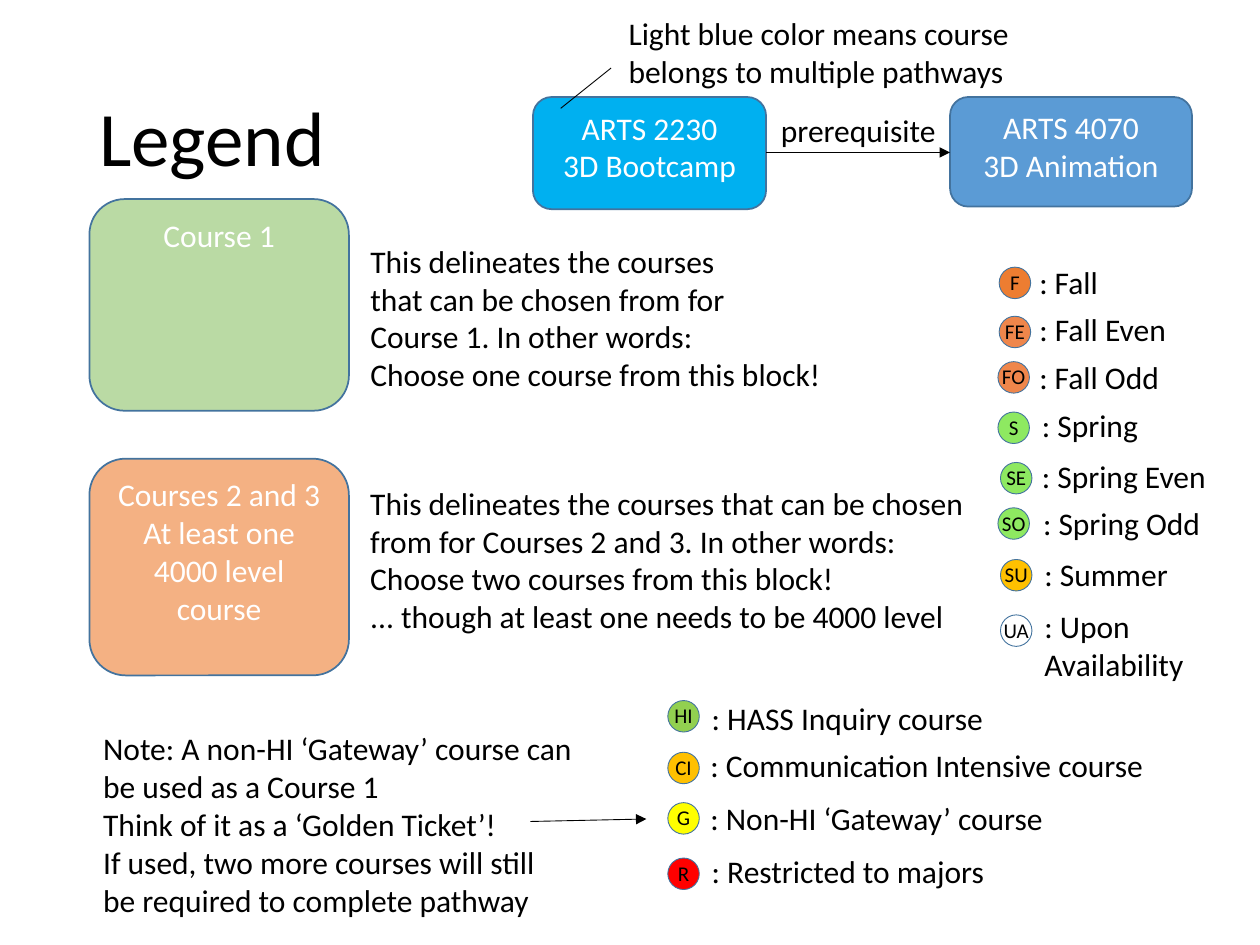
from lxml.etree import SubElement as Sub
from pptx import Presentation
from pptx.dml.color import RGBColor as Rgb
from pptx.enum.shapes import MSO_CONNECTOR as Link, MSO_SHAPE as Form
from pptx.enum.text import MSO_ANCHOR as Anchor, MSO_AUTO_SIZE as Fit, PP_ALIGN as Align
from pptx.oxml.ns import qn
from pptx.util import Inches, Pt

theme = {
    "font": "Calibri",
    "title": 44, "body": 18, "badge": 12,
    "ink": "000000", "light": "FFFFFF", "edge": "43739E",
    "green": "A9D18E", "peach": "F4B183", "sky": "00B0F0", "blue": "5B9BD5",
    "fall": "ED7D31", "half": "EF864B", "spring": "8EE961", "gold": "FFC000",
    "none": "FFFFFF", "inquiry": "92D050", "yellow": "FFFF00", "red": "FF0000",
}

deck = Presentation()
deck.slide_width, deck.slide_height = Inches(10), Inches(7.5)
slide = deck.slides.add_slide(deck.slide_layouts[6])
shapes = slide.shapes
# The slide is a grid of 100 columns by 75 rows
col, row = deck.slide_width / 100, deck.slide_height / 75


def grid(x, y, w, h):
    return [int(n) for n in (x * col, y * row, w * col, h * row)]


def write(shape, text, size="body", ink="ink", align=Align.LEFT, **extra):
    frame = shape.text_frame
    frame.text = text
    form = {"word_wrap": False, "auto_size": Fit.SHAPE_TO_FIT_TEXT,
            "vertical_anchor": Anchor.TOP} | extra
    for key, value in form.items():
        setattr(frame, key, value)
    look = {"name": theme["font"], "size": Pt(theme[size])}
    for para in frame.paragraphs:
        para.alignment = align
        for key, value in look.items():
            setattr(para.font, key, value)
        para.font.color.rgb = Rgb.from_string(theme[ink])


# Title
title = shapes.add_textbox(*grid(6.9, 4, 86.2, 14.5))
write(title, "Legend", "title", word_wrap=True, auto_size=Fit.NONE,
      vertical_anchor=Anchor.MIDDLE)
title.text_frame.paragraphs[0].line_spacing = 0.9

# Course blocks
blocks = [
    ("Course 1", "green", 7.1, 15.8, 20.6, 16.8),
    ("Courses 2 and 3\nAt least one 4000 level course", "peach", 7.1, 36.4, 20.6, 17.2),
    ("ARTS 2230\n3D Bootcamp", "sky", 42.3, 7.7, 18.5, 8.9),
    ("ARTS 4070\n3D Animation", "blue", 75.4, 7.7, 19.2, 8.7),
]
for text, fill, *at in blocks:
    block = shapes.add_shape(Form.ROUNDED_RECTANGLE, *grid(*at))
    block.shadow.inherit = False
    block.fill.solid()
    block.fill.fore_color.rgb = Rgb.from_string(theme[fill])
    block.line.color.rgb = Rgb.from_string(theme["edge"])
    block.line.width = Pt(1)
    write(block, text, ink="light", align=Align.CENTER, word_wrap=True, auto_size=Fit.NONE)
    if fill == "green":
        tint = next(block.fill._xPr.iter(qn("a:srgbClr")))
        Sub(tint, qn("a:alpha"), val="80000")

# Explanations
notes = [
    ("Light blue color means course\nbelongs to multiple pathways", 48.9, 0.6, 33.2, 7.1),
    ("prerequisite", 61, 8.3, 14.4, 4),
    ("This delineates the courses\nthat can be chosen from for\n"
     "Course 1. In other words:\nChoose one course from this block!", 28.4, 18.7, 38.2, 13.1),
    ("This delineates the courses that can be chosen\n"
     "from for Courses 2 and 3. In other words:\n"
     "Choose two courses from this block!\n"
     "... though at least one needs to be 4000 level", 28.4, 37.9, 50.3, 13.1),
    ("Note: A non-HI ‘Gateway’ course can\nbe used as a Course 1\n"
     "Think of it as a ‘Golden Ticket’!\nIf used, two more courses will still\n"
     "be required to complete pathway", 7.2, 57.4, 40.2, 16.2),
]
for text, *at in notes:
    write(shapes.add_textbox(*grid(*at)), text)

# Pointer and arrows
lines = [
    (44.5, 8.6, 48.5, 5.4, False),
    (60.8, 12.1, 75.4, 12.1, True),
    (42.1, 65.2, 51.3, 65, True),
]
for *ends, arrow in lines:
    line = shapes.add_connector(Link.STRAIGHT, *grid(*ends))
    line.line.color.rgb = Rgb.from_string(theme["ink"])
    line.line.width = Pt(0.5)
    if arrow:
        Sub(line.line._get_or_add_ln(), qn("a:tailEnd"), type="triangle")
    Sub(line._element.spPr, qn("a:effectLst"))

# Badges: code, fill, badge corner, label, label corner and width
dot, tag = 2.5, 4.2
badges = [
    ("F", "fall", 79.3, 21.2, ": Fall", 81.5, 20.4, 6.7),
    ("FE", "half", 79.3, 25.1, ": Fall Even", 81.5, 24.1, 12.2),
    ("FO", "half", 79.2, 28.7, ": Fall Odd", 81.5, 27.9, 11.6),
    ("S", "spring", 79.2, 32.7, ": Spring", 81.7, 31.7, 9.8),
    ("SE", "spring", 79.4, 36.7, ": Spring Even", 81.7, 35.8, 15.2),
    ("SO", "spring", 79.2, 40.3, ": Spring Odd", 81.8, 39.5, 14.7),
    ("SU", "gold", 79.4, 44.4, ": Summer", 81.9, 43.6, 11.9),
    ("UA", "none", 79.4, 48.8, ": Upon\nAvailability", 81.9, 47.7, 13.2),
    ("HI", "inquiry", 53, 55.6, ": HASS Inquiry course", 55.5, 55, 23.8),
    ("CI", "gold", 53, 59.7, ": Communication Intensive course", 55.4, 58.7, 36.8),
    ("G", "yellow", 53, 63.7, ": Non-HI ‘Gateway’ course", 55.4, 62.9, 28.7),
    ("R", "red", 53, 68.1, ": Restricted to majors", 55.5, 67.1, 23.9),
]
for code, fill, x, y, label, left, top, wide in badges:
    group = shapes.add_group_shape().shapes
    disc = group.add_shape(Form.OVAL, *grid(x, y, dot, dot))
    disc.shadow.inherit = False
    disc.fill.solid()
    disc.fill.fore_color.rgb = Rgb.from_string(theme[fill])
    disc.line.color.rgb = Rgb.from_string(theme["edge"])
    disc.line.width = Pt(0.5)
    mark = group.add_textbox(*grid(x + (dot - tag) / 2, y - 0.3, tag, 3))
    write(mark, code, "badge", align=Align.CENTER)
    high = 4 + 3.1 * label.count("\n")
    write(shapes.add_textbox(*grid(left, top, wide, high)), label)

deck.save("out.pptx")
